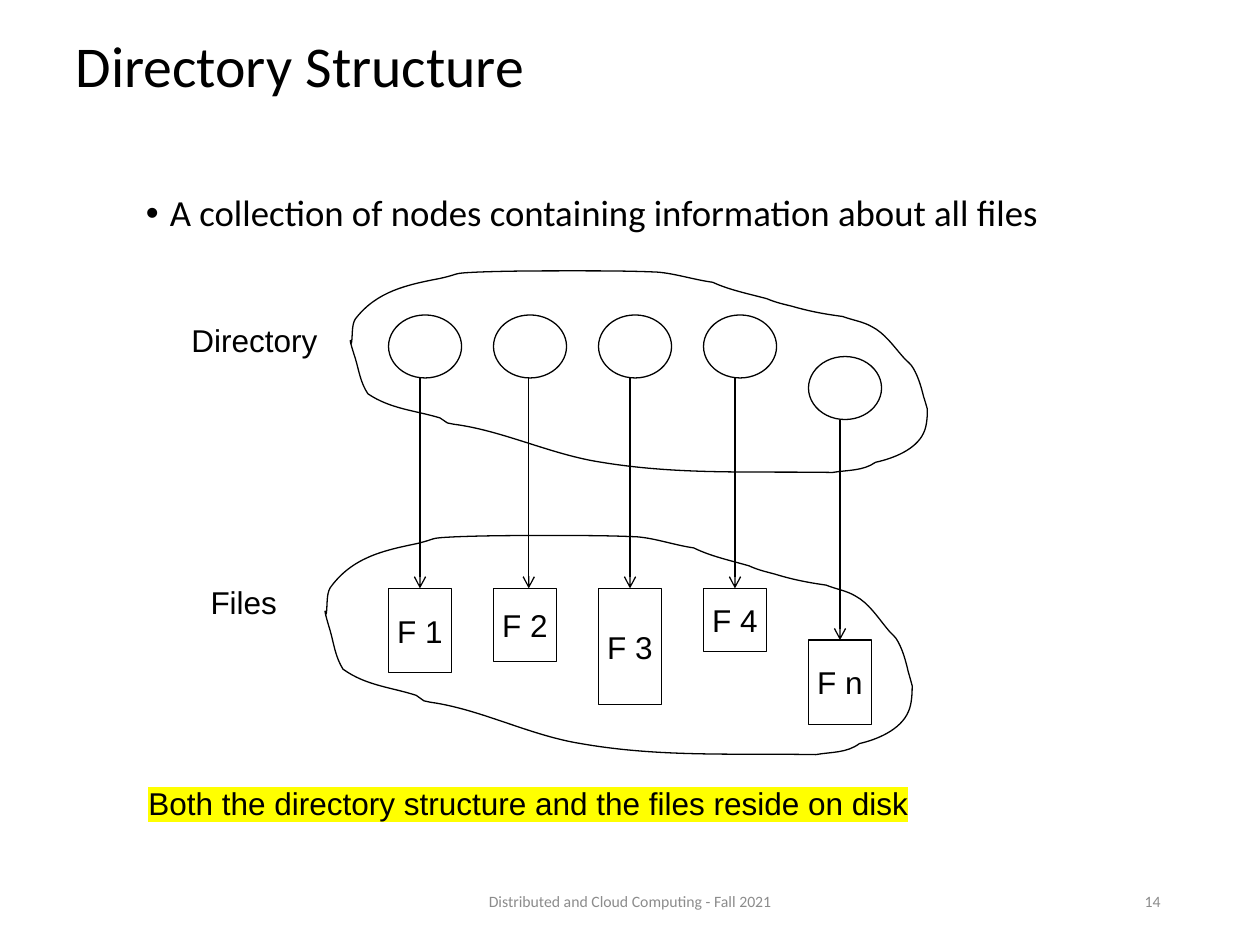
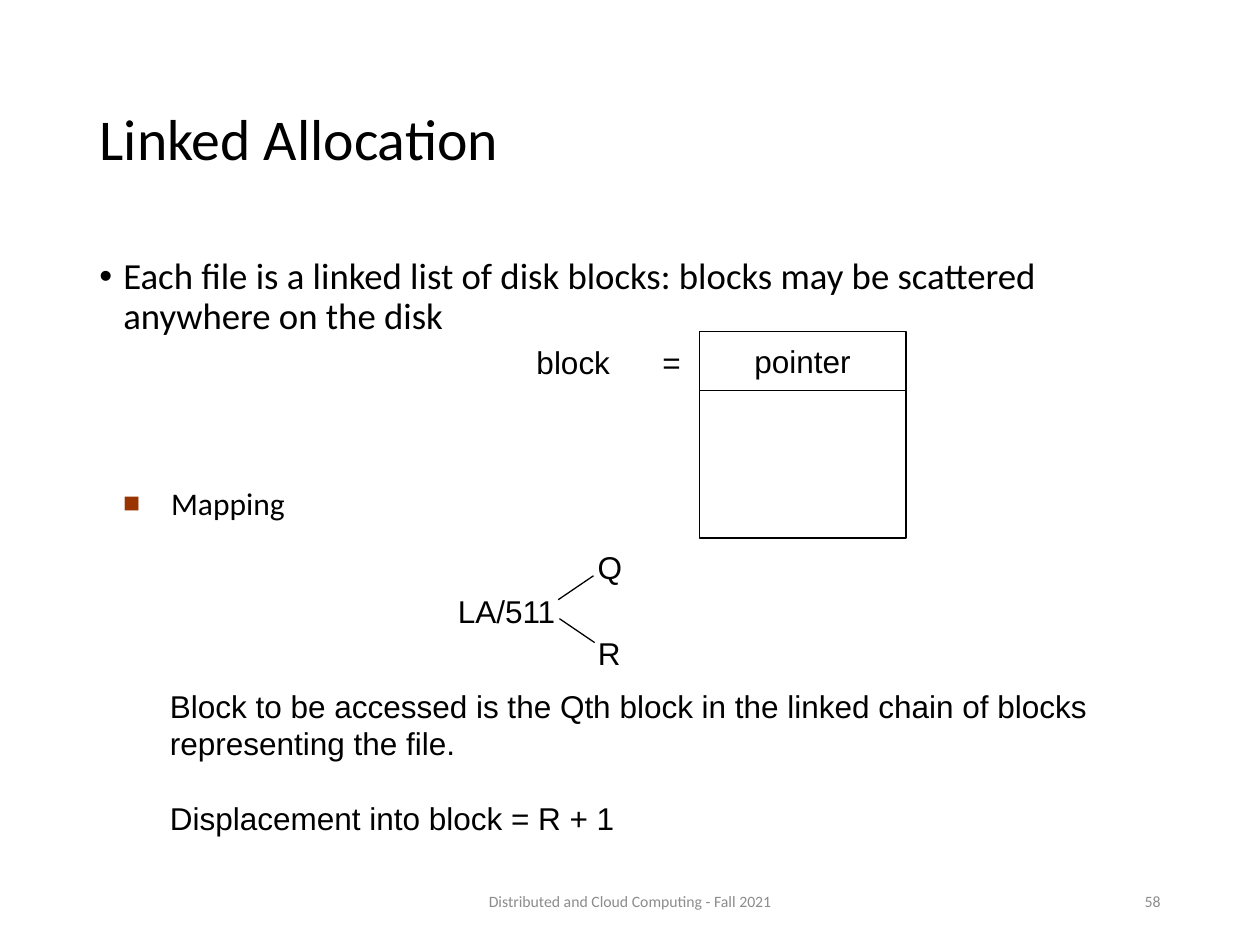
from lxml import etree
from pptx import Presentation
from pptx.dml.color import RGBColor
from pptx.enum.shapes import MSO_CONNECTOR, MSO_SHAPE
from pptx.enum.text import MSO_ANCHOR, PP_ALIGN
from pptx.oxml.ns import qn
from pptx.util import Inches, Pt

COLORS = {
    "ink": "000000",
    "paper": "FFFFFF",
    "footer": "8C8C8C",
    "marker": "FFFF00",
    "bullet": "993300",
}
HEADING_FONT = "Calibri"
DIAGRAM_FONT = "Arial"
LINE_WIDTH = Pt(0.75)
FOOTER = "Distributed and Cloud Computing - Fall 2021"

# Cloud outline in hundredths of an inch: a start point, then three points per Bezier curve.
CLOUD_SIZE = (457, 160)
CLOUD_START = (1, 57)
CLOUD_CURVES = [
    ((2, 50), (1, 43), (4, 38)),
    ((21, 16), (45, 11), (71, 6)),
    ((89, 2), (79, 2), (101, 1)),
    ((126, 0), (151, 0), (177, 0)),
    ((199, 0), (221, 0), (243, 1)),
    ((257, 2), (272, 7), (287, 9)),
    ((300, 15), (315, 18), (330, 22)),
    ((337, 25), (342, 26), (350, 28)),
    ((364, 32), (375, 34), (390, 36)),
    ((398, 39), (406, 40), (413, 44)),
    ((423, 49), (430, 59), (437, 67)),
    ((440, 71), (444, 73), (446, 77)),
    ((450, 84), (452, 91), (454, 99)),
    ((455, 102), (457, 109), (457, 109)),
    ((457, 113), (457, 122), (454, 128)),
    ((448, 141), (430, 148), (416, 151)),
    ((406, 158), (394, 157), (382, 159)),
    ((318, 158), (260, 161), (199, 151)),
    ((159, 145), (121, 126), (82, 121)),
    ((80, 121), (79, 120), (77, 120)),
    ((75, 119), (73, 117), (71, 116)),
    ((51, 110), (32, 109), (14, 97)),
    ((8, 88), (7, 79), (4, 69)),
    ((4, 69), (0, 57), (0, 55)),
    ((0, 54), (1, 56), (1, 57)),
]


def color(name):
    return RGBColor.from_string(COLORS[name])


def format_text(frame, size, font, ink="ink", align=PP_ALIGN.LEFT, anchor=MSO_ANCHOR.TOP):
    frame.vertical_anchor = anchor
    for para in frame.paragraphs:
        para.alignment = align
        for span in para.runs:
            span.font.size = Pt(size)
            span.font.name = font
            span.font.color.rgb = color(ink)


def add_text(parent, text, left, top, width, height, size=18, font=DIAGRAM_FONT,
             wrap=True, **style):
    """Add a text box to a slide or a group."""
    box = parent.shapes.add_textbox(Inches(left), Inches(top), Inches(width), Inches(height))
    box.text_frame.text = text
    box.text_frame.word_wrap = wrap
    format_text(box.text_frame, size, font, **style)
    return box


def add_label(parent, text, left, top, width, align=PP_ALIGN.CENTER):
    return add_text(parent, text, left, top, width, 0.4, wrap=False,
                    align=align, anchor=MSO_ANCHOR.MIDDLE)


def set_indent(para, margin, first_line=0):
    properties = para._p.get_or_add_pPr()
    properties.set("marL", str(Inches(margin)))
    properties.set("indent", str(Inches(first_line)))
    return properties


def add_bullet(box, character, indent, tint="ink", percent=100):
    properties = set_indent(box.text_frame.paragraphs[0], indent, -indent)
    holder = etree.SubElement(properties, qn("a:buClr"))
    etree.SubElement(holder, qn("a:srgbClr"), val=COLORS[tint])
    etree.SubElement(properties, qn("a:buSzPct"), val=str(percent * 1000))
    etree.SubElement(properties, qn("a:buFont"), typeface="Arial")
    etree.SubElement(properties, qn("a:buChar"), char=character)


def add_tab_stop(para, position):
    stops = etree.SubElement(para._p.get_or_add_pPr(), qn("a:tabLst"))
    etree.SubElement(stops, qn("a:tab"), pos=str(Inches(position)), algn="l")


def add_main_point(slide, text, left, top, width, height):
    box = add_text(slide, text, left, top, width, height, size=21, font=HEADING_FONT)
    add_bullet(box, "•", 0.19)
    box.text_frame.paragraphs[0].line_spacing = 0.9


def highlight(box):
    for span in box.text_frame.paragraphs[0].runs:
        mark = etree.Element(qn("a:highlight"))
        etree.SubElement(mark, qn("a:srgbClr"), val=COLORS["marker"])
        span._r.rPr.find(qn("a:solidFill")).addnext(mark)


def outline(shape):
    shape.shadow.inherit = False
    shape.line.color.rgb = color("ink")
    shape.line.width = LINE_WIDTH


def add_node(parent, kind, left, top, width, height, text=""):
    node = parent.shapes.add_shape(kind, Inches(left), Inches(top), Inches(width), Inches(height))
    outline(node)
    node.fill.solid()
    node.fill.fore_color.rgb = color("paper")
    if text:
        node.text_frame.text = text
        node.text_frame.word_wrap = False
        format_text(node.text_frame, 18, DIAGRAM_FONT,
                    align=PP_ALIGN.CENTER, anchor=MSO_ANCHOR.MIDDLE)
    return node


def add_line(parent, start, end, arrow=False):
    line = parent.shapes.add_connector(
        MSO_CONNECTOR.STRAIGHT, *(Inches(value) for value in (*start, *end)))
    line.line.color.rgb = color("ink")
    line.line.width = LINE_WIDTH
    if arrow:
        etree.SubElement(line.line._get_or_add_ln(), qn("a:tailEnd"), type="arrow")
    etree.SubElement(line._element.spPr, qn("a:effectLst"))
    return line


def add_cloud(slide, left, top, width, height):
    """Build the outline from its curve ends, then turn each segment into a curve."""
    def place(point):
        return (Inches(left + point[0] * width / CLOUD_SIZE[0]),
                Inches(top + point[1] * height / CLOUD_SIZE[1]))

    builder = slide.shapes.build_freeform(*place(CLOUD_START))
    builder.add_line_segments([place(curve[-1]) for curve in CLOUD_CURVES], close=True)
    cloud = builder.convert_to_shape()
    segments = list(cloud._element.iter(qn("a:lnTo")))
    for segment, curve in zip(segments, CLOUD_CURVES):
        bend = etree.Element(qn("a:cubicBezTo"))
        for x, y in map(place, curve):
            etree.SubElement(bend, qn("a:pt"), x=str(x - cloud.left), y=str(y - cloud.top))
        segment.getparent().replace(segment, bend)
    outline(cloud)
    cloud.fill.background()


def add_slide(deck, title, number, left, top, width, height):
    """Add a slide with its title, footer and slide number."""
    slide = deck.slides.add_slide(deck.slide_layouts[5])
    heading = slide.shapes.title
    heading.left, heading.top = Inches(left), Inches(top)
    heading.width, heading.height = Inches(width), Inches(height)
    heading.text_frame.text = title
    heading.text_frame.paragraphs[0].line_spacing = 0.9
    format_text(heading.text_frame, 33, HEADING_FONT, anchor=MSO_ANCHOR.MIDDLE)
    for text, start, span, align in ((FOOTER, 3.31, 3.38, PP_ALIGN.CENTER),
                                     (str(number), 7.06, 2.25, PP_ALIGN.RIGHT)):
        add_text(slide, text, start, 6.95, span, 0.4, size=9, font=HEADING_FONT,
                 ink="footer", align=align, anchor=MSO_ANCHOR.MIDDLE)
    return slide


def build_directory_structure(deck):
    slide = add_slide(deck, "Directory Structure", 14, 0.5, 0.23, 9, 0.63)
    add_main_point(slide, "A collection of nodes containing information about all files",
                   1.06, 1.5, 8.06, 0.39)
    files = [  # name, node top, file top, file height, arrow offset from the middle
        ("F 1", 2.5, 4.67, 0.67, 0),
        ("F 2", 2.5, 4.67, 0.58, 0.03),
        ("F 3", 2.5, 4.67, 0.92, 0),
        ("F 4", 2.5, 4.67, 0.5, 0),
        ("F n", 2.83, 5.08, 0.67, 0),
    ]
    for column, (name, node_top, file_top, file_height, offset) in enumerate(files):
        left = (37 + 10 * column) / 12
        add_node(slide, MSO_SHAPE.OVAL, left, node_top, 0.58, 0.5)
        file_box = add_node(slide, MSO_SHAPE.RECTANGLE, left, file_top, 0.5, file_height, name)
        arrow_x = left + 0.25 + offset
        arrow = add_line(slide, (arrow_x, node_top + 0.5), (arrow_x, file_top), arrow=True)
        if not offset:
            arrow.end_connect(file_box, 0)
    add_cloud(slide, 2.78, 2.15, 4.58, 1.61)
    add_cloud(slide, 2.58, 4.25, 4.66, 1.75)
    add_label(slide, "Directory", 1.42, 2.5, 1.2)
    add_label(slide, "Files", 1.57, 4.58, 0.73)
    highlight(add_text(slide, "Both the directory structure and the files reside on disk",
                       1.08, 6.17, 8.31, 0.42))


def build_linked_allocation(deck):
    slide = add_slide(deck, "Linked Allocation", 58, 0.69, 0.4, 8.62, 1.45)
    add_main_point(slide, "Each file is a linked list of disk blocks: blocks may be "
                   "scattered anywhere on the disk", 0.69, 2, 8.62, 4.76)

    block = slide.shapes.add_group_shape()
    add_node(block, MSO_SHAPE.RECTANGLE, 5.55, 2.63, 1.64, 0.47, "pointer")
    add_node(block, MSO_SHAPE.RECTANGLE, 5.55, 3.1, 1.64, 1.17)
    equation = add_label(block, "block\t=", 4.16, 2.67, 1.36, PP_ALIGN.LEFT)
    add_tab_stop(equation.text_frame.paragraphs[0], 1)

    mapping = add_text(slide, "Mapping", 0.88, 3.4, 8.06, 0.99, font=HEADING_FONT)
    mapping.text_frame.margin_top = Inches(0.44)
    add_bullet(mapping, "■", 0.38, "bullet", 90)

    notes = add_text(slide, "Block to be accessed is the Qth block in the linked chain of "
                     "blocks representing the file.\nDisplacement into block = R + 1",
                     0.75, 5.4, 8.57, 1.79)
    for para in notes.text_frame.paragraphs:
        set_indent(para, 0.5)
    notes.text_frame.paragraphs[1].space_before = Pt(21)

    division = slide.shapes.add_group_shape()
    add_label(division, "LA/511", 3.53, 4.65, 0.98)
    add_label(division, "Q", 4.64, 4.3, 0.4)
    add_label(division, "R", 4.64, 4.98, 0.39)
    add_line(division, (4.43, 4.76), (4.71, 4.57))
    add_line(division, (4.44, 4.91), (4.72, 5.1))


def main():
    deck = Presentation()
    deck.slide_width, deck.slide_height = Inches(10), Inches(7.5)
    build_directory_structure(deck)
    build_linked_allocation(deck)
    deck.save("out.pptx")


if __name__ == "__main__":
    main()
